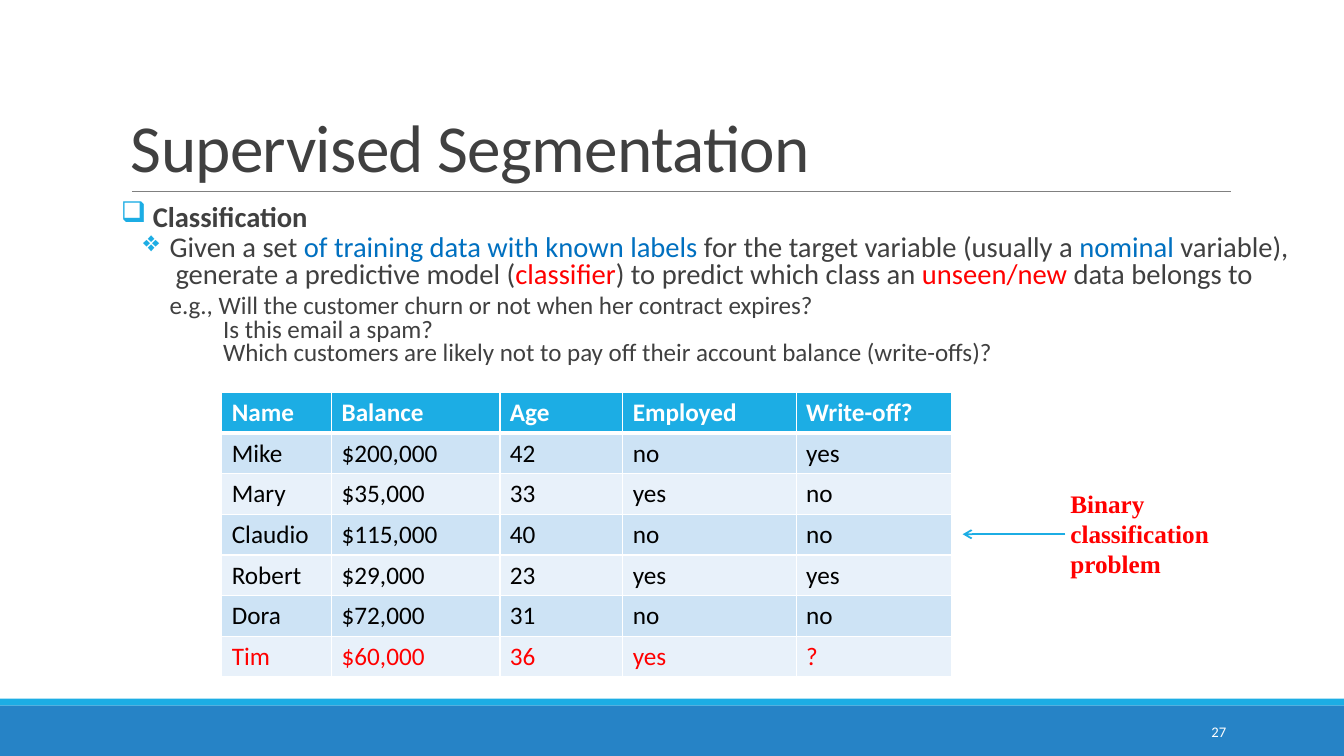
from dataclasses import dataclass
from itertools import accumulate
from typing import Any

from lxml.etree import SubElement
from pptx import Presentation
from pptx.dml.color import RGBColor as RGB
from pptx.enum.shapes import MSO_CONNECTOR as Connector, MSO_SHAPE as Preset
from pptx.enum.text import MSO_ANCHOR as Anchor, PP_ALIGN as Align
from pptx.oxml import parse_xml
from pptx.oxml.ns import nsdecls, qn
from pptx.util import Pt


@dataclass(frozen=True)
class Theme:
    ink: str = "404040"
    accent: str = "1CADE4"
    footer: str = "2683C6"
    rule: str = "808080"
    blue: str = "0070C0"
    red: str = "FF0000"
    white: str = "FFFFFF"
    black: str = "000000"
    bands: tuple[str, str] = ("CDE3F5", "E8F1FA")
    sans: str = "Calibri"
    serif: str = "Times New Roman"
    title: float = 48
    body: float = 20.4
    example: float = 17.9
    label: float = 18
    number: float = 10.5


T = Theme()


@dataclass(frozen=True)
class Span:
    text: str
    color: str = T.ink
    size: float = T.body
    bold: bool = False
    font: str = T.sans


@dataclass(frozen=True)
class Line:
    spans: tuple[Span, ...]
    left: float = 0
    first: float = 0
    bullet: str = ""
    spacing: float = 1
    before: float = 0
    after: float = 0
    align: Any = Align.LEFT


@dataclass(frozen=True)
class Block:
    box: tuple[float, float, float, float]
    lines: tuple[Line, ...]
    inset: tuple[float, float] = (7.2, 3.6)
    anchor: Any = Anchor.TOP


@dataclass(frozen=True)
class Stroke:
    start: tuple[float, float]
    end: tuple[float, float]
    color: str
    width: float
    arrow: bool = False


def apply(target: Any, formats: dict[str, Any]) -> None:
    for name, value in formats.items():
        setattr(target, name, value)


def write_line(paragraph: Any, line: Line) -> None:
    props = paragraph._p.get_or_add_pPr()
    if line.left or line.first:
        props.set("marL", str(Pt(line.left)))
        props.set("indent", str(Pt(line.first)))
    if line.bullet:
        color = SubElement(props, qn("a:buClr"))
        SubElement(color, qn("a:srgbClr"), val=T.accent)
        SubElement(props, qn("a:buChar"), char=line.bullet)
    apply(paragraph, {"line_spacing": line.spacing, "alignment": line.align,
                      "space_before": Pt(line.before), "space_after": Pt(line.after)})
    for span in line.spans:
        run = paragraph.add_run()
        run.text = span.text
        apply(run.font, {"name": span.font, "size": Pt(span.size), "bold": span.bold})
        run.font.color.rgb = RGB.from_string(span.color)


def add_block(slide: Any, block: Block) -> Any:
    frame = slide.shapes.add_textbox(*map(Pt, block.box)).text_frame
    across, down = map(Pt, block.inset)
    apply(frame, {"word_wrap": True, "vertical_anchor": block.anchor,
                  "margin_left": across, "margin_right": across,
                  "margin_top": down, "margin_bottom": down})
    for i, line in enumerate(block.lines):
        write_line(frame.add_paragraph() if i else frame.paragraphs[0], line)
    return frame


def add_bar(slide: Any, top: float, height: float, color: str) -> None:
    bar = slide.shapes.add_shape(Preset.RECTANGLE, 0, Pt(top), Pt(WIDTH), Pt(height))
    bar.shadow.inherit = False
    bar.fill.solid()
    bar.fill.fore_color.rgb = RGB.from_string(color)
    bar.line.fill.background()


def add_stroke(slide: Any, stroke: Stroke) -> None:
    link = slide.shapes.add_connector(Connector.STRAIGHT, *map(Pt, stroke.start + stroke.end))
    link.line.color.rgb = RGB.from_string(stroke.color)
    link.line.width = Pt(stroke.width)
    if stroke.arrow:
        SubElement(link.line._get_or_add_ln(), qn("a:tailEnd"), type="arrow")
    SubElement(link._element.spPr, qn("a:effectLst"))


def paint_cell(cell: Any, span: Span, fill: str, header: bool) -> None:
    write_line(cell.text_frame.paragraphs[0], Line((span,)))
    cell.fill.solid()
    cell.fill.fore_color.rgb = RGB.from_string(fill)
    props = cell._tc.get_or_add_tcPr()
    widths = {"lnL": 1, "lnR": 1, "lnT": 1, "lnB": 3 if header else 1}
    for i, (side, width) in enumerate(widths.items()):
        props.insert(i, parse_xml(
            f'<a:{side} {nsdecls("a")} w="{Pt(width)}"><a:solidFill>'
            f'<a:srgbClr val="{T.white}"/></a:solidFill></a:{side}>'))


def add_customers(slide: Any) -> None:
    shape = slide.shapes.add_table(len(CUSTOMERS), len(COLUMNS), Pt(158.4), Pt(280.4),
                                   Pt(sum(COLUMNS)), Pt(ROW * len(CUSTOMERS)))
    table = shape.table
    for column, width in zip(table.columns, COLUMNS):
        column.width = Pt(width)
    last = len(CUSTOMERS) - 1
    for r, record in enumerate(CUSTOMERS):
        table.rows[r].height = Pt(ROW)
        header = r == 0
        color = T.white if header else T.red if r == last else T.black
        fill = T.accent if header else T.bands[(r - 1) % 2]
        for c, value in enumerate(record):
            paint_cell(table.cell(r, c), Span(value, color, T.label, header), fill, header)


def example(text: str, left: float, after: float = 2) -> Line:
    return Line((Span(text, size=T.example),), left=left, spacing=0.7, after=after)


WIDTH, HEIGHT = 960, 540
ROW = 29
COLUMNS = (78.5, 120.2, 87.8, 123.8, 110.9)
CUSTOMERS = (
    ("Name", "Balance", "Age", "Employed", "Write-off?"),
    ("Mike", "$200,000", "42", "no", "yes"),
    ("Mary", "$35,000", "33", "yes", "no"),
    ("Claudio", "$115,000", "40", "no", "no"),
    ("Robert", "$29,000", "23", "yes", "yes"),
    ("Dora", "$72,000", "31", "no", "no"),
    ("Tim", "$60,000", "36", "yes", "?"),
)
TITLE = Block((86.4, 22.5, 792, 114.2), (
    Line((Span("Supervised Segmentation", size=T.title),), spacing=0.85),), anchor=Anchor.BOTTOM)
NUMBER = Block((780, 508.3, 103, 28.8), (
    Line((Span("27", T.white, T.number),), align=Align.RIGHT),), anchor=Anchor.MIDDLE)
CLASSIFICATION = Block((86.4, 145.4, 835.2, 134.6), (
    Line((Span(" Classification", bold=True),), 7.2, -7.2, "❑", 0.7, after=2),
    Line((Span(" Given a set "), Span("of training data with known labels", T.blue),
          Span(" for the target variable (usually a "), Span("nominal", T.blue),
          Span(" variable),")), 30.2, -14.4, "❖", 0.7, before=2),
    Line((Span("generate a predictive model ("), Span("classifier", T.red),
          Span(") to predict which class an "), Span("unseen/new", T.red),
          Span(" data belongs to")), 39, spacing=0.7, before=2, after=6),
    example("e.g., Will the customer churn or not when her contract expires?", 34.8),
    example("Is this email a spam?", 73),
    example("Which customers are likely not to pay off their account balance (write-offs)?", 73, 12),
), inset=(0, 3.6))
PROBLEM = Block((761, 344.9, 131.8, 72.7), (
    Line((Span("Binary classification problem", T.red, T.label, True, T.serif),),),), (3.6, 3.6))
STROKES = (Stroke((94.3, 136.8), (879.1, 136.8), T.rule, 0.5),
           Stroke((761, 381.6), (687.6, 381.6), T.accent, 1.25, arrow=True))


def main() -> None:
    deck = Presentation()
    apply(deck, {"slide_width": Pt(WIDTH), "slide_height": Pt(HEIGHT)})
    slide = deck.slides.add_slide(deck.slide_layouts[6])

    # Footer bars, stacked from the top one down
    heights = (5, 36)
    tops = accumulate(heights[:1], initial=HEIGHT - sum(heights))
    for top, height, color in zip(tops, heights, (T.accent, T.footer)):
        add_bar(slide, top, height, color)

    # Title, page number, explanation and side note
    title, *_ = [add_block(slide, block) for block in (TITLE, NUMBER, CLASSIFICATION, PROBLEM)]
    title.paragraphs[0].runs[0].font._element.set("spc", "-50")

    # Customer table, then title rule and arrow
    add_customers(slide)
    for stroke in STROKES:
        add_stroke(slide, stroke)

    deck.save("out.pptx")


if __name__ == "__main__":
    main()
